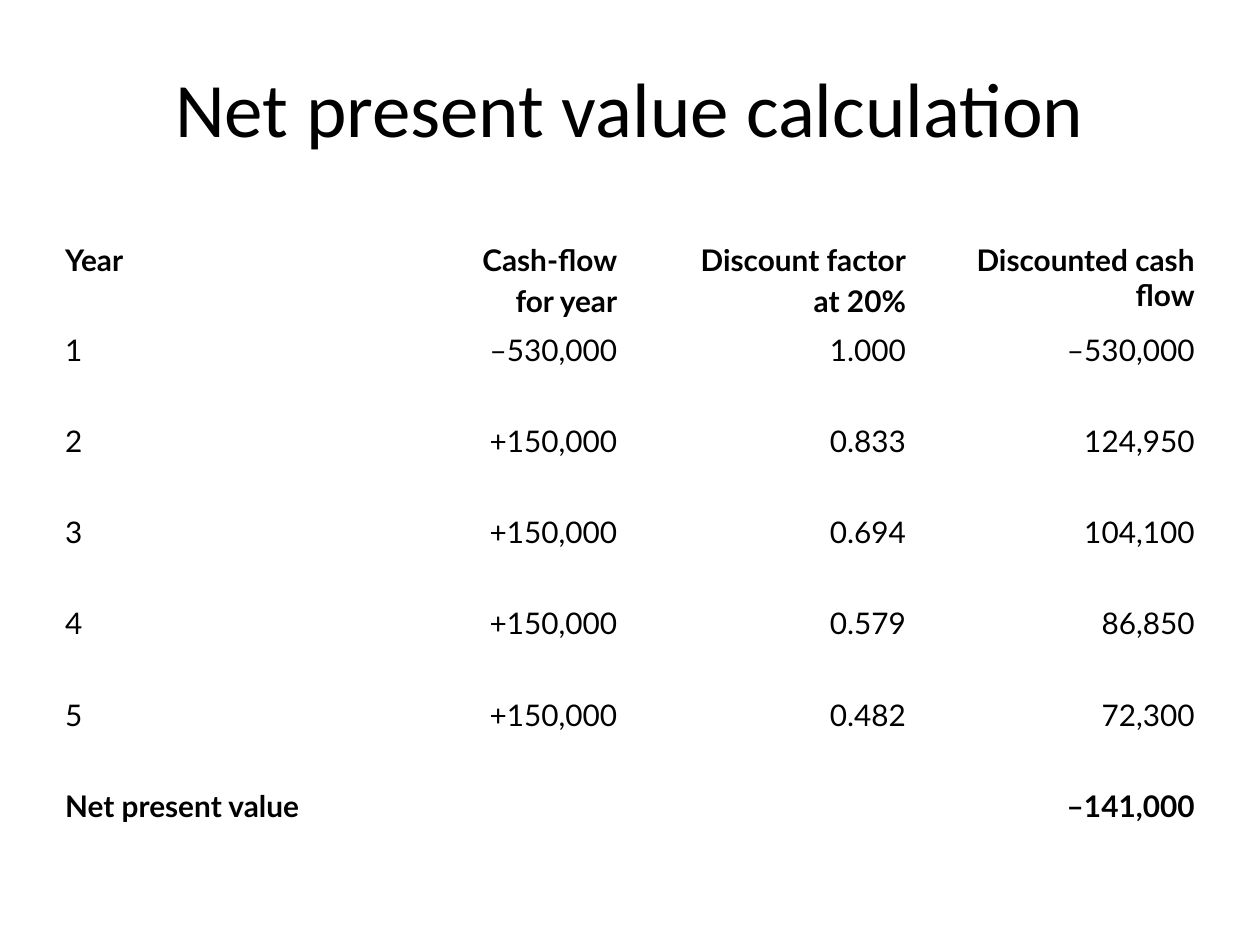
"""Builds a slide with a net present value table."""
from pptx import Presentation
from pptx.dml.color import RGBColor
from pptx.enum import text as t
from pptx.util import Pt


def paint(font, shade):
    font.color.rgb = RGBColor.from_string(shade)


def write(frame, words, size=17, face="Lato", bold=False, align=t.PP_ALIGN.LEFT, space=0):
    frame.text = words
    for para in frame.paragraphs:
        para.alignment = align
        para.space_before = Pt(space)
        for run in para.runs:
            run.font.size = Pt(size)
            run.font.name = face
            run.font.bold = bold
            paint(run.font, "000000")


deck = Presentation()
deck.slide_width, deck.slide_height = Pt(720), Pt(540)
slide = deck.slides.add_slide(deck.slide_layouts[5])

title = slide.shapes.title
title.left, title.top, title.width, title.height = Pt(30), Pt(39.6), Pt(660), Pt(43.2)
frame = title.text_frame
write(frame, "Net present value calculation", size=44, face="Calibri", align=t.PP_ALIGN.CENTER)
frame.vertical_anchor = t.MSO_ANCHOR.MIDDLE
frame.auto_size = t.MSO_AUTO_SIZE.SHAPE_TO_FIT_TEXT

blank = [""] * 4
rows = [
    ["Year", "Cash-flow\nfor year", "Discount factor\nat 20%", "Discounted cash flow"],
    ["1", "–530,000", "1.000", "–530,000"], blank,
    ["2", "+150,000", "0.833", "124,950"], blank,
    ["3", "+150,000", "0.694", "104,100"], blank,
    ["4", "+150,000", "0.579", "86,850"], blank,
    ["5", "+150,000", "0.482", "72,300"], blank,
    ["Net present value", "", "", "–141,000"], blank,
]
holder = slide.shapes.add_table(len(rows), 4, Pt(30), Pt(134.6), Pt(660), Pt(389))
grid = holder.table
grid.first_row = grid.horz_banding = False
for r, row in enumerate(rows):
    grid.rows[r].height = Pt(24.5)
    for c, words in enumerate(row):
        cell = grid.cell(r, c)
        cell.fill.background()
        if words:
            write(cell.text_frame, words, bold=r in (0, 11), space=3.4,
                  align=t.PP_ALIGN.RIGHT if c else t.PP_ALIGN.LEFT)
        else:
            cell.margin_top = cell.margin_bottom = 0
holder.height = Pt(389)

deck.save("out.pptx")
